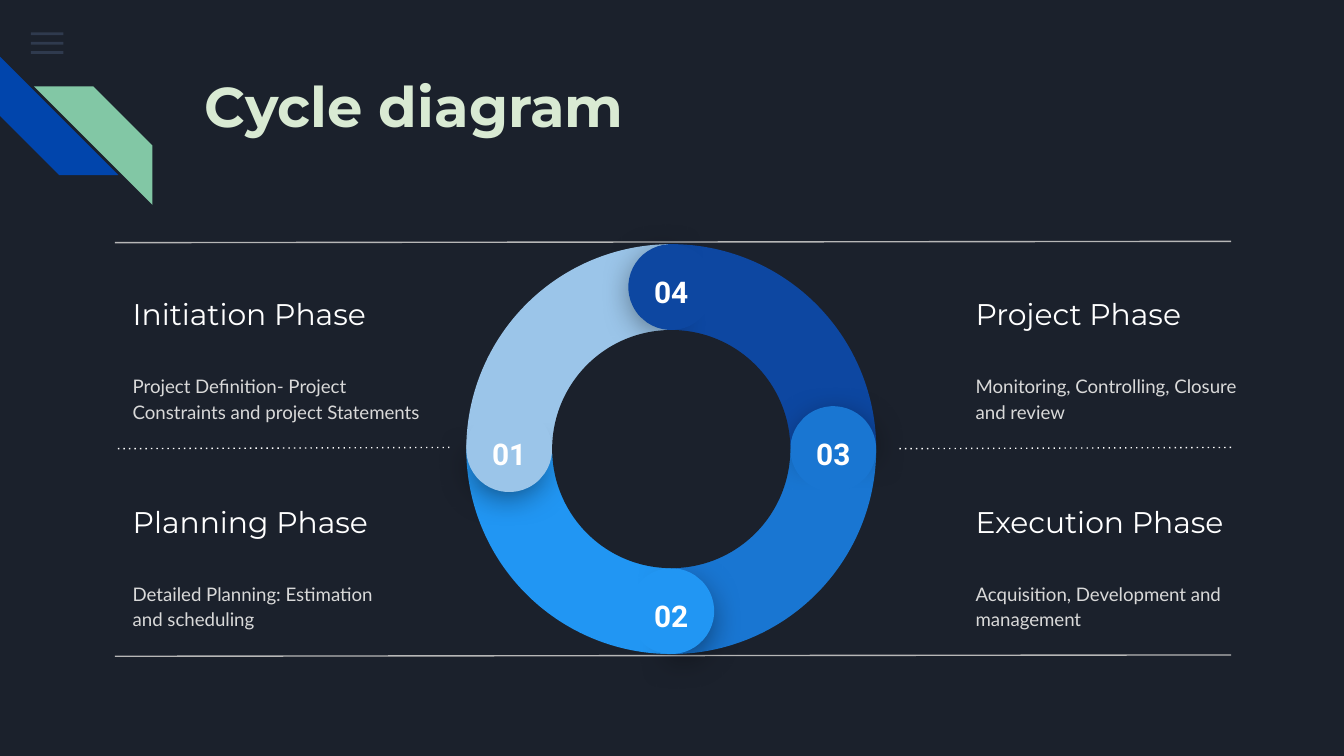
import math
from dataclasses import dataclass

import pptx
import pptx.dml.color
import pptx.enum.shapes
import pptx.enum.text
import pptx.oxml
import pptx.oxml.ns
import pptx.util
from lxml import etree

Pt = pptx.util.Pt
SHAPE = pptx.enum.shapes.MSO_SHAPE
ALIGN = pptx.enum.text.PP_ALIGN
ANCHOR = pptx.enum.text.MSO_ANCHOR
qn = pptx.oxml.ns.qn


def rgb(color):
    return pptx.dml.color.RGBColor.from_string(color)


@dataclass(frozen=True)
class TextStyle:
    size: float
    font: str
    color: str
    bold: bool = False


@dataclass(frozen=True)
class Theme:
    background: str = "1B212C"
    menu: str = "55688B"
    stripe_blue: str = "0145AC"
    stripe_green: str = "82C7A5"
    rule: str = "B7B7B7"
    divider: str = "FFFFFF"
    title: TextStyle = TextStyle(30, "Montserrat", "D9EAD3", True)
    heading: TextStyle = TextStyle(16, "Montserrat", "FFFFFF")
    body: TextStyle = TextStyle(10, "Lato", "D9D9D9")
    number: TextStyle = TextStyle(16, "Roboto", "FFFFFF", True)


class SlideBuilder:
    def __init__(self, prs, theme):
        self.theme = theme
        self.s = prs.slides.add_slide(prs.slide_layouts[6])
        self.s.background.fill.solid()
        self.s.background.fill.fore_color.rgb = rgb(theme.background)

    def shape(self, kind, x, y, w, h, color, adj=(), rotation=0):
        sp = self.s.shapes.add_shape(kind, Pt(x), Pt(y), Pt(w), Pt(h))
        sp.shadow.inherit = False
        sp.fill.solid()
        sp.fill.fore_color.rgb = rgb(color)
        sp.line.fill.background()
        sp.rotation = rotation
        for i, value in enumerate(adj):
            sp.adjustments[i] = value
        return sp

    def disc(self, kind, cx, cy, diameter, color, angles=(), rotation=0):
        """Round shape placed by its centre, with its angles in degrees."""
        # Angles are stored in 1/60000 degree, adjustments in 1/100000.
        return self.shape(kind, cx - diameter / 2, cy - diameter / 2,
                          diameter, diameter, color,
                          [a * 0.6 for a in angles], rotation)

    def fade(self, sp, percent):
        clr = sp.fill._xPr.find(qn("a:solidFill"))[0]
        etree.SubElement(clr, qn("a:alpha"), val=str(percent * 1000))

    def drop_shadow(self, sp):
        effects = sp._element.spPr.find(qn("a:effectLst"))
        effects.append(pptx.oxml.parse_xml(
            f'<a:outerShdw {pptx.oxml.ns.nsdecls("a")} blurRad="{Pt(18)}" '
            f'dist="{Pt(4)}" dir="5400000" algn="bl" rotWithShape="0">'
            '<a:srgbClr val="000000"><a:alpha val="55000"/></a:srgbClr>'
            '</a:outerShdw>'))

    def text(self, text, x, y, w, h, style, anchor=ANCHOR.MIDDLE,
             align=ALIGN.LEFT, spacing=None):
        tf = self.s.shapes.add_textbox(Pt(x), Pt(y), Pt(w), Pt(h)).text_frame
        tf.word_wrap = True
        tf.vertical_anchor = anchor
        tf.margin_left = tf.margin_right = Pt(7.2)
        tf.margin_top = tf.margin_bottom = Pt(7.2)
        p = tf.paragraphs[0]
        p.text = text
        p.alignment = align
        if spacing:
            p.line_spacing = spacing
            p.space_after = Pt(16)
        p.font.size = Pt(style.size)
        p.font.name = style.font
        p.font.bold = style.bold
        p.font.color.rgb = rgb(style.color)

    def line(self, x1, y1, x2, y2, color, dash=None):
        c = self.s.shapes.add_connector(
            pptx.enum.shapes.MSO_CONNECTOR.STRAIGHT,
            Pt(x1), Pt(y1), Pt(x2), Pt(y2))
        c.line.width = Pt(0.75)
        c.line.color.rgb = rgb(color)
        spPr = c._element.spPr
        if dash:
            etree.SubElement(spPr.find(qn("a:ln")), qn("a:prstDash"), val=dash)
        etree.SubElement(spPr, qn("a:effectLst"))

    def decoration(self):
        t = self.theme
        for i in range(3):
            bar = self.shape(SHAPE.RECTANGLE, 16.6, 17.4 + 5 * i, 17.4, 1.5, t.menu)
            self.fade(bar, 36)
        self.shape(SHAPE.DIAGONAL_STRIPE, 0, 30.3, 63.5, 63.5,
                   t.stripe_blue, [0.5], 270)
        green = self.shape(SHAPE.DIAGONAL_STRIPE, 18.2, 46.3, 63.5, 63.5,
                           t.stripe_green, [0.5])
        green._element.spPr.find(qn("a:xfrm")).set("flipH", "1")

    def phase(self, heading, body, x, y, body_width):
        t = self.theme
        self.text(heading, x, y, 163, 35, t.heading)
        self.text(body, x, y + 34.8, body_width, 55, t.body, spacing=1.15)

    def cycle(self, cx, cy, diameter, hole, steps):
        """Ring of quarter arcs with round ends; steps hold number, turn, colour."""
        middle = (diameter + hole) / 4
        for _, turn, color in sorted(steps, key=lambda step: step[1]):
            self.disc(SHAPE.PIE, cx, cy, diameter, color, (180, 270), turn)
        for number, turn, color in steps:
            dx, dy = -math.cos(math.radians(turn)), -math.sin(math.radians(turn))
            cap = self.disc(SHAPE.PIE, cx + 88 * dx, cy + 88 * dy, 41, color,
                            (315.9, 139.7), (turn + 39.5) % 360)
            self.drop_shadow(cap)
            x, y = cx + middle * dx, cy + middle * dy
            self.disc(SHAPE.CHORD, x, y, 46, color, (41.7, 30.2),
                      (turn + 4.1) % 360)
            self.text(number, x - 20, y - 14.4, 40, 21, self.theme.number,
                      ANCHOR.TOP, ALIGN.CENTER)
        self.disc(SHAPE.OVAL, cx, cy, hole, self.theme.background)


def main():
    prs = pptx.Presentation()
    prs.slide_width, prs.slide_height = Pt(720), Pt(405)
    theme = Theme()
    b = SlideBuilder(prs, theme)

    b.decoration()
    b.text("Cycle diagram", 102.4, 31, 554, 72, theme.title, ANCHOR.TOP)

    left, right, top, bottom = 64, 515.6, 150.5, 261.8
    for phase in (
        ("Initiation Phase",
         "Project Definition- Project Constraints and project Statements",
         left, top, 176),
        ("Planning Phase", "Detailed Planning: Estimation and scheduling",
         left, bottom, 157),
        ("Project Phase", "Monitoring, Controlling, Closure and review",
         right, top, 157),
        ("Execution Phase", "Acquisition, Development and management",
         right, bottom, 157),
    ):
        b.phase(*phase)

    for x1, x2, y, color, dash in (
        (659.5, 61.5, 129.3, theme.rule, None),
        (240.8, 61.5, 239.7, theme.divider, "dot"),
        (659.5, 480.2, 239.7, theme.divider, "dot"),
        (659.5, 61.5, 350.9, theme.rule, None),
    ):
        b.line(x1, y, x2, y + 0.7, color, dash)

    b.cycle(359.6, 240.6, 219.6, 127.6, (
        ("01", 0, "9BC5E9"),
        ("02", 270, "2196F3"),
        ("03", 180, "1976D2"),
        ("04", 90, "0D47A1"),
    ))
    prs.save("out.pptx")


if __name__ == "__main__":
    main()
